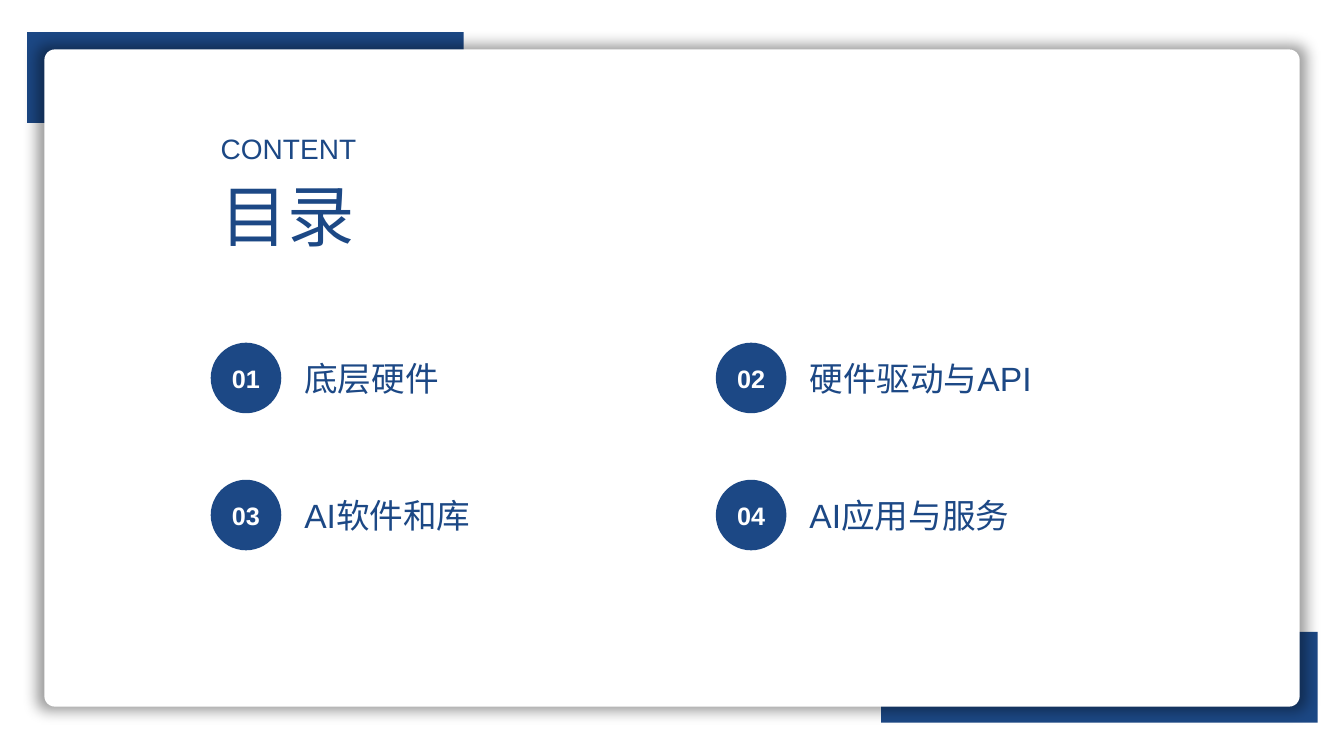
from lxml import etree
from pptx import Presentation
from pptx.dml.color import RGBColor
from pptx.enum.shapes import MSO_SHAPE as Preset
from pptx.enum.text import MSO_ANCHOR as Anchor, MSO_AUTO_SIZE as AutoSize, PP_ALIGN as Align
from pptx.oxml import parse_xml
from pptx.oxml.ns import nsdecls, qn
from pptx.util import Inches, Pt

NAVY = RGBColor(0x1C, 0x48, 0x85)
WHITE = RGBColor(0xFF, 0xFF, 0xFF)
FONT = "Arial"
TOPICS = ["底层硬件", "硬件驱动与API", "AI软件和库", "AI应用与服务"]


def add_panel(slide, preset, left, top, width, height, color):
    shape = slide.shapes.add_shape(
        preset, Inches(left), Inches(top), Inches(width), Inches(height))
    shape.shadow.inherit = False
    shape.fill.solid()
    shape.fill.fore_color.rgb = color
    shape.line.fill.background()
    return shape


def add_glow_shadow(shape):
    effects = shape._element.spPr.find(qn("a:effectLst"))
    effects.append(parse_xml(
        f'<a:outerShdw {nsdecls("a")} blurRad="{Inches(0.14)}" sx="101000" sy="101000" '
        'algn="ctr" rotWithShape="0"><a:srgbClr val="000000">'
        '<a:alpha val="40000"/></a:srgbClr></a:outerShdw>'))


def add_run(paragraph, text, size, color, bold=False):
    run = paragraph.add_run()
    run.text = text
    run.font.name = FONT
    run.font.size = Pt(size)
    run.font.bold = bold
    run.font.color.rgb = color


def add_label(slide, text, left, top, width, height, size, align=Align.LEFT):
    box = slide.shapes.add_textbox(
        Inches(left), Inches(top), Inches(width), Inches(height))
    frame = box.text_frame
    frame.word_wrap = True
    frame.auto_size = AutoSize.SHAPE_TO_FIT_TEXT
    paragraph = frame.paragraphs[0]
    paragraph.alignment = align
    add_run(paragraph, text, size, NAVY)


def add_topic(slide, number, text, left, top):
    badge = add_panel(slide, Preset.OVAL, left, top, 0.7, 0.7, NAVY)
    frame = badge.text_frame
    frame.margin_left = frame.margin_right = 0
    frame.vertical_anchor = Anchor.MIDDLE
    paragraph = frame.paragraphs[0]
    paragraph.alignment = Align.CENTER
    add_run(paragraph, f"{number:02d}", 18, WHITE, bold=True)
    add_label(slide, text, left + 0.83, top + 0.1, 4.05, 0.5, 24)


def main():
    presentation = Presentation()
    presentation.slide_width = Inches(13.33)
    presentation.slide_height = Inches(7.5)
    slide = presentation.slides.add_slide(presentation.slide_layouts[6])

    for left, top in [(8.74, 6.27), (0.27, 0.32)]:
        add_panel(slide, Preset.RECTANGLE, left, top, 4.33, 0.9, NAVY)
    card = add_panel(slide, Preset.ROUNDED_RECTANGLE, 0.44, 0.49, 12.45, 6.52, WHITE)
    card.adjustments[0] = 0.016
    add_glow_shadow(card)

    add_label(slide, "目录", 2.09, 1.68, 2.54, 0.91, 48, Align.JUSTIFY)
    add_label(slide, "CONTENT", 2.09, 1.26, 2.54, 0.44, 20, Align.JUSTIFY)

    for index, text in enumerate(TOPICS):
        row, column = divmod(index, 2)
        add_topic(slide, index + 1, text, 2.09 + column * 5.01, 3.4 + row * 1.36)

    presentation.save("out.pptx")


if __name__ == "__main__":
    main()
